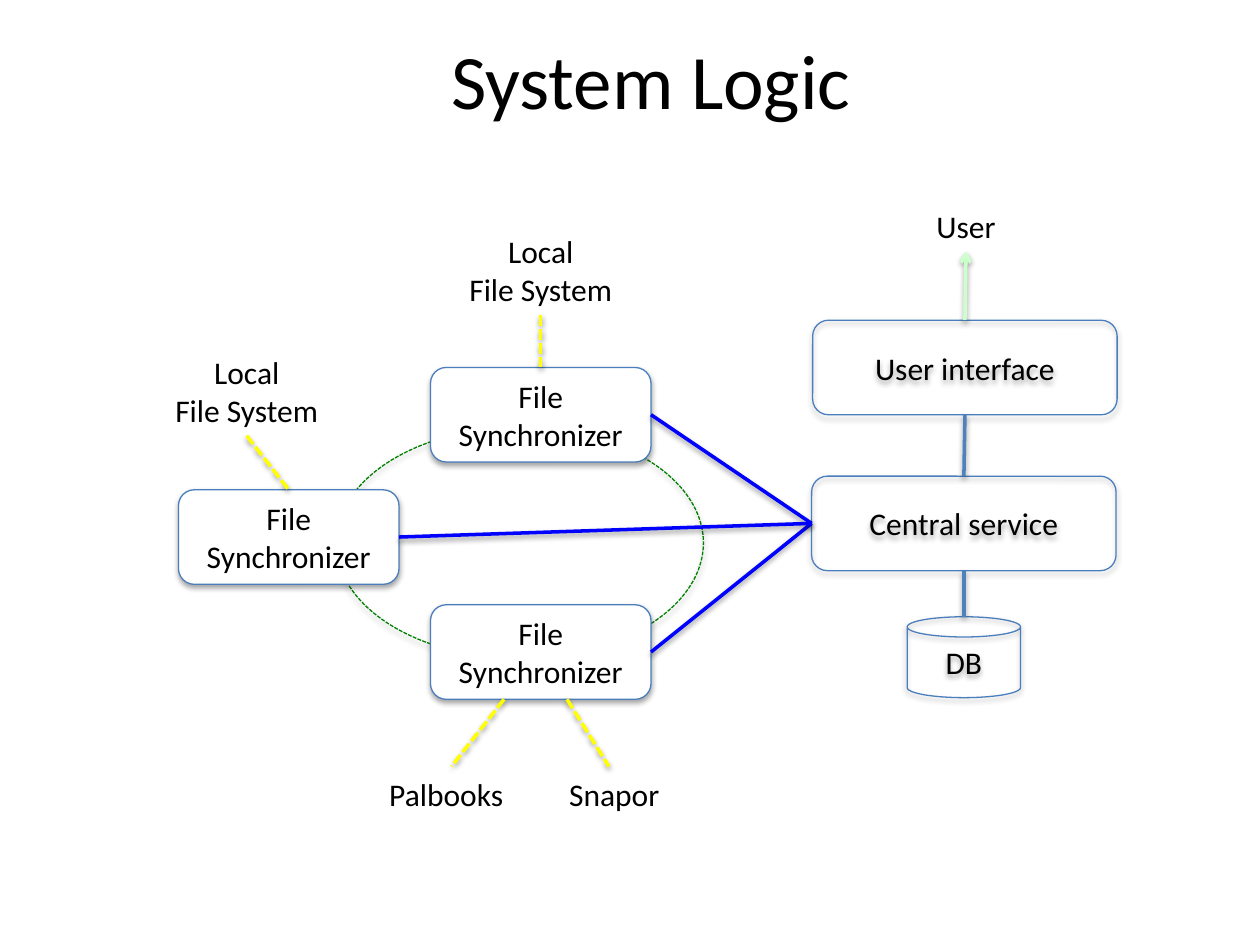
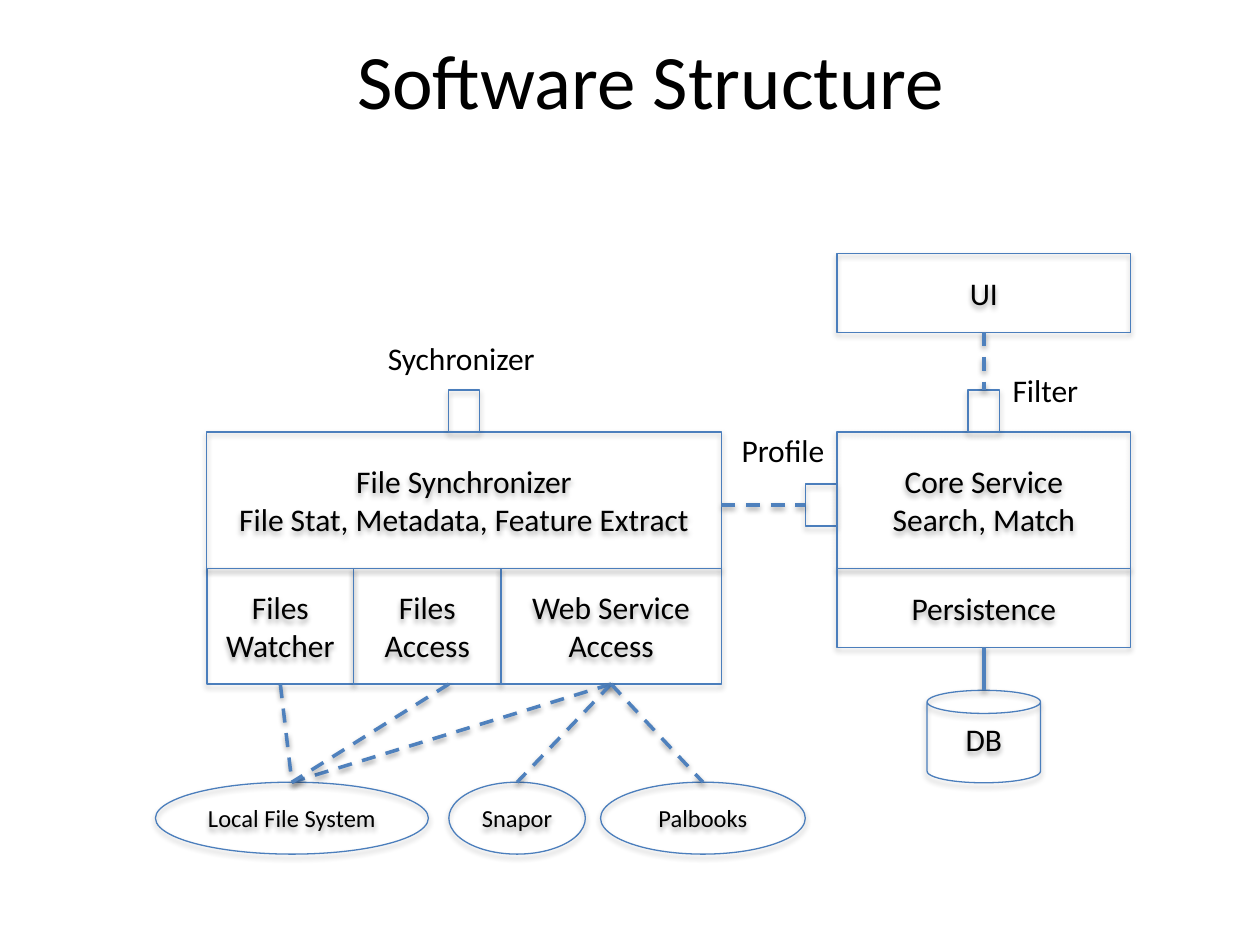
"""Build two architecture diagrams: system logic and software structure."""
from dataclasses import dataclass
from itertools import accumulate

from lxml import etree
from pptx import Presentation
from pptx.dml.color import RGBColor
from pptx.enum.dml import MSO_LINE
from pptx.enum.shapes import MSO_CONNECTOR, MSO_SHAPE
from pptx.enum.text import MSO_ANCHOR, PP_ALIGN
from pptx.oxml.ns import qn
from pptx.util import Emu, Inches, Pt

RECTANGLE, ROUNDED = MSO_SHAPE.RECTANGLE, MSO_SHAPE.ROUNDED_RECTANGLE
OVAL, CAN = MSO_SHAPE.OVAL, MSO_SHAPE.CAN
STRAIGHT = MSO_CONNECTOR.STRAIGHT
DASH, SHORT_DASH = MSO_LINE.DASH, MSO_LINE.SQUARE_DOT
LEFT, CENTER, RIGHT = PP_ALIGN.LEFT, PP_ALIGN.CENTER, PP_ALIGN.RIGHT
TOP, MIDDLE = MSO_ANCHOR.TOP, MSO_ANCHOR.MIDDLE

BLACK = RGBColor(0x00, 0x00, 0x00)
WHITE = RGBColor(0xFF, 0xFF, 0xFF)
OUTLINE = RGBColor(0x4B, 0x7E, 0xBC)
STEEL = RGBColor(0x4F, 0x81, 0xBD)
GREEN = RGBColor(0x00, 0x80, 0x00)
YELLOW = RGBColor(0xFF, 0xFF, 0x00)
BLUE = RGBColor(0x00, 0x00, 0xFF)
MINT = RGBColor(0xCC, 0xFF, 0xCC)

FONT = "Calibri"
TITLE_ONLY = 5
WIDTH, HEIGHT = Inches(10), Inches(7.5)
COLUMNS = 120
CELL = WIDTH // COLUMNS
TITLE_AREA = (15, 0, 94, 15)
JOINABLE = (RECTANGLE, ROUNDED, None)
SIDE_SHARES = ((0.5, 0), (0, 0.5), (0.5, 1), (1, 0.5))
NORTH, WEST, SOUTH, EAST = range(4)

Point = tuple[float, float]
Port = tuple[str, int]


@dataclass(frozen=True)
class Box:
    """A shape on the grid; form None is a plain text box."""
    name: str
    left: float
    top: float
    width: float
    height: float
    text: str = ""
    form: MSO_SHAPE | None = RECTANGLE
    fill: RGBColor | None = None
    line: RGBColor = OUTLINE
    dash: MSO_LINE | None = None
    size: float = 18
    align: PP_ALIGN = CENTER

    def side(self, side: int) -> Point:
        """Return the middle of one side in grid cells."""
        across, down = SIDE_SHARES[side]
        return self.left + across * self.width, self.top + down * self.height


@dataclass(frozen=True)
class Link:
    """A straight line between box sides or grid points."""
    start: Port | Point
    end: Port | Point
    color: RGBColor = STEEL
    dash: MSO_LINE | None = None
    arrow: bool = False


def cells(*counts: float) -> list[Emu]:
    """Turn grid cells into lengths."""
    return [Emu(round(count * CELL)) for count in counts]


def write_text(shape, text: str, *, size: float, align: PP_ALIGN = CENTER,
               anchor: MSO_ANCHOR = MIDDLE, color: RGBColor = BLACK) -> None:
    """Write one paragraph per line of text."""
    frame = shape.text_frame
    frame.word_wrap = True
    frame.vertical_anchor = anchor
    frame.text = text
    for para in frame.paragraphs:
        para.alignment = align
        for span in para.runs:
            span.font.name, span.font.size = FONT, Pt(size)
            span.font.color.rgb = color


def style_line(shape, color: RGBColor, width: float, dash: MSO_LINE | None) -> None:
    """Set colour, width and dash of a line."""
    shape.line.color.rgb = color
    shape.line.width = Pt(width)
    if dash is not None:
        shape.line.dash_style = dash


def cast_shadow(shape, distance: int, opacity: int) -> None:
    """Add a soft shadow straight below."""
    effects = etree.SubElement(shape._element.spPr, qn("a:effectLst"))
    shadow = etree.SubElement(effects, qn("a:outerShdw"), blurRad="40000",
                              dist=str(distance), dir="5400000", rotWithShape="0")
    tint = etree.SubElement(shadow, qn("a:srgbClr"), val=str(BLACK))
    etree.SubElement(tint, qn("a:alpha"), val=str(opacity * 1000))


def draw_box(page, box: Box):
    """Draw a box or label and return its shape."""
    area = cells(box.left, box.top, box.width, box.height)
    if box.form is None:
        shape = page.shapes.add_textbox(*area)
    else:
        shape = page.shapes.add_shape(box.form, *area)
        if box.fill is None:
            shape.fill.background()
        else:
            shape.fill.solid()
            shape.fill.fore_color.rgb = box.fill
        style_line(shape, box.line, 0.75, box.dash)
        cast_shadow(shape, 23000, 35)
    if box.text:
        write_text(shape, box.text, size=box.size, align=box.align,
                   anchor=TOP if box.form in (None, CAN) else MIDDLE)
    return shape


def draw_link(page, link: Link, boxes: dict[str, Box], shapes: dict) -> None:
    """Draw a line and join its ends to rectangles."""
    points = [boxes[end[0]].side(end[1]) if isinstance(end[0], str) else end
              for end in (link.start, link.end)]
    line = page.shapes.add_connector(STRAIGHT, *cells(*points[0], *points[1]))
    for end, connect in ((link.start, line.begin_connect), (link.end, line.end_connect)):
        if isinstance(end[0], str) and boxes[end[0]].form in JOINABLE:
            connect(shapes[end[0]], end[1])
    style_line(line, link.color, 2, link.dash)
    if link.arrow:
        etree.SubElement(line.line._get_or_add_ln(), qn("a:tailEnd"), type="arrow")
    cast_shadow(line, 20000, 38)


def add_diagram(deck, title: str, boxes: list[Box], links: list[Link]) -> None:
    """Add a titled page with its boxes and links."""
    page = deck.slides.add_slide(deck.slide_layouts[TITLE_ONLY])
    heading = page.shapes.title
    heading.left, heading.top, heading.width, heading.height = cells(*TITLE_AREA)
    write_text(heading, title, size=44)
    shapes = {box.name: draw_box(page, box) for box in boxes}
    named = {box.name: box for box in boxes}
    for link in links:
        draw_link(page, link, named, shapes)


def label(name: str, left: float, top: float, width: float, text: str,
          height: float = 4.85, align: PP_ALIGN = CENTER) -> Box:
    """Describe a text box."""
    return Box(name, left, top, width, height, text, form=None, align=align)


def add_system_logic(deck) -> None:
    """Add the page on synchronizers and the central service."""
    synchronizers = [Box(name, left, top, 21, 9, "File\nSynchronizer", ROUNDED, WHITE)
                     for name, left, top in (("upper", 41, 35), ("lower", 41, 57.6),
                                             ("outer", 17, 46.65))]
    boxes = [
        Box("interface", 77.4, 30.5, 29, 9, "User interface", ROUNDED),
        Box("central", 77.3, 45.35, 29, 9, "Central service", ROUNDED),
        Box("database", 86.4, 58.75, 10.8, 7.7, "DB", CAN),
        Box("ring", 32, 40.7, 35, 22, form=OVAL, line=GREEN, dash=SHORT_DASH),
        *synchronizers,
        label("social", 33.5, 73.2, 18, "Palbooks"),
        label("photos", 51.5, 73.2, 14, "Snapor"),
        label("upper files", 43, 21.5, 17, "Local\nFile System", 8.5),
        label("outer files", 15, 33, 17, "Local\nFile System", 8.5),
        label("user", 85, 19.1, 14, "User"),
    ]
    links = [
        Link(("database", NORTH), ("central", SOUTH)),
        Link((54, 66.6), (58, 73), YELLOW, SHORT_DASH),
        Link((48, 66.6), (43, 73), YELLOW, SHORT_DASH),
        *(Link((f"{name} files", SOUTH), (name, NORTH), YELLOW, SHORT_DASH)
          for name in ("upper", "outer")),
        *(Link((box.name, EAST), ("central", WEST), BLUE) for box in synchronizers),
        Link(("interface", NORTH), ("user", SOUTH), MINT, arrow=True),
        Link(("central", NORTH), ("interface", SOUTH)),
    ]
    add_diagram(deck, "System Logic", boxes, links)


def add_software_structure(deck) -> None:
    """Add the page on modules, ports and stores."""
    client, server, main_row, base_row, store_row = 19.7, 79.7, 41.15, 54.15, 74.5
    widths = (14, 14, 21)
    names = ("watcher", "access", "web")
    texts = ("Files\nWatcher", "Files\nAccess", "Web Service\nAccess")
    lefts = accumulate(widths[:-1], initial=client)
    modules = [Box(name, left, base_row, width, 11, text)
               for name, left, width, text in zip(names, lefts, widths, texts)]
    stores = [Box(name, left, store_row, width, 6.85, text, OVAL, size=14)
              for name, left, width, text in (("files", 14.8, 26, "Local File System"),
                                              ("photos", 42.75, 13, "Snapor"),
                                              ("social", 57.2, 19.5, "Palbooks"))]
    boxes = [
        *modules,
        Box("synchronizer", client, main_row, sum(widths), 13,
            "File Synchronizer\nFile Stat, Metadata, Feature Extract"),
        Box("synchronizer port", 42.7, main_row - 4, 3, 4),
        Box("profile port", server - 3, 46.1, 3, 4),
        Box("core", server, main_row, 28, 13, "Core Service\nSearch, Match"),
        Box("persistence", server, base_row, 28, 7.5, "Persistence"),
        Box("filter port", server + 12.5, main_row - 4, 3, 4),
        Box("database", server + 8.6, 65.75, 10.8, 8.8, "DB", CAN),
        Box("ui", server, 24.15, 28, 7.5, "UI"),
        label("synchronizer label", 35.75, 31.7, 20, "Sychronizer", align=LEFT),
        label("filter label", 95.25, 34.7, 9.5, "Filter", align=LEFT),
        label("profile label", 68.7, 40.5, 11, "Profile", align=RIGHT),
        *stores,
    ]
    links = [
        Link(("persistence", SOUTH), ("database", NORTH)),
        *(Link(("web", SOUTH), (store.name, NORTH), dash=DASH) for store in stores),
        Link((42.75, base_row + 11), ("files", NORTH), dash=DASH),
        Link(("watcher", SOUTH), ("files", NORTH), dash=DASH),
        Link((client + sum(widths), 48.1), ("profile port", WEST), dash=DASH),
        Link(("ui", SOUTH), ("filter port", NORTH), dash=DASH),
    ]
    add_diagram(deck, "Software Structure", boxes, links)


def main() -> None:
    """Build and save the deck."""
    deck = Presentation()
    deck.slide_width, deck.slide_height = WIDTH, HEIGHT
    add_system_logic(deck)
    add_software_structure(deck)
    deck.save("out.pptx")


if __name__ == "__main__":
    main()
